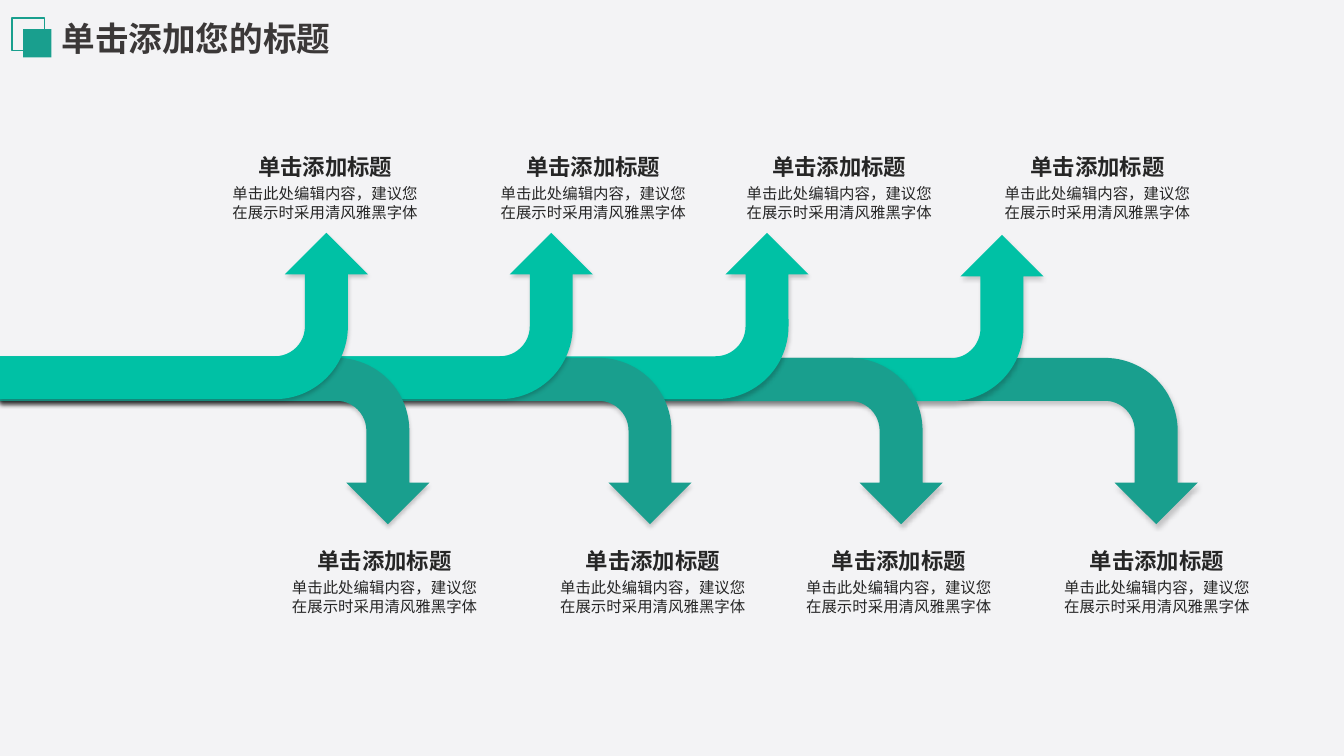
"""Build a slide of eight bent arrows branching up and down from one band."""
from dataclasses import dataclass

from lxml import etree
from pptx import Presentation
from pptx.dml.color import RGBColor
from pptx.enum import shapes, text
from pptx.oxml import ns
from pptx.util import Inches, Pt

LIGHT, DARK, INK = "00C1A5", "199F8E", "262626"
HEADING_FONT, BODY_FONT = "Noto Sans CJK SC", "Arial"
HEADING = "单击添加标题"
BODY = "单击此处编辑内容，建议您在展示时采用清风雅黑字体"
ARROW_DEPTH = 1.65


@dataclass
class Arrow:
    """A bent arrow that starts at the left slide edge."""
    reach: float
    top: float
    upward: bool


ARROWS = [
    Arrow(11.88, 3.55, False), Arrow(10.35, 2.33, True),
    Arrow(9.35, 3.55, False), Arrow(8.02, 2.31, True),
    Arrow(6.86, 3.55, False), Arrow(5.88, 2.31, True),
    Arrow(4.26, 3.55, False), Arrow(3.65, 2.31, True),
]
COLUMNS = [2.15, 4.81, 7.25, 9.81]
ROWS = [(0, 1.47), (0.59, 5.38)]


def colour(code: str) -> RGBColor:
    """Turn a hex string into a colour."""
    return RGBColor.from_string(code)


def add_shadow(shape) -> None:
    """Give a shape a soft shadow that falls straight down."""
    effects = etree.SubElement(shape._element.spPr, ns.qn("a:effectLst"))
    shadow = etree.SubElement(
        effects, ns.qn("a:outerShdw"), blurRad=str(Pt(3.1)), dist=str(Pt(1.8)),
        dir="5400000", algn="t", rotWithShape="0")
    black = etree.SubElement(shadow, ns.qn("a:srgbClr"), val="000000")
    etree.SubElement(black, ns.qn("a:alpha"), val="20000")


def add_arrow(slide, arrow: Arrow) -> None:
    """Draw an arrow as a turned and mirrored preset."""
    left = (arrow.reach - ARROW_DEPTH) / 2
    top = arrow.top - left
    shape = slide.shapes.add_shape(
        shapes.MSO_SHAPE.BENT_ARROW, Inches(left), Inches(top),
        Inches(ARROW_DEPTH), Inches(arrow.reach))
    shape.rotation = 90 if arrow.upward else 270
    frame = shape._element.spPr.find(ns.qn("a:xfrm"))
    frame.set("flipH", "1")
    if not arrow.upward:
        frame.set("flipV", "1")
    for index, value in enumerate((0.258, 0.25, 0.25, 0.438)):
        shape.adjustments[index] = value
    shape.fill.solid()
    shape.fill.fore_color.rgb = colour(LIGHT if arrow.upward else DARK)
    shape.line.fill.background()
    add_shadow(shape)


def add_square(slide, left: float, top: float, side: float, filled: bool) -> None:
    """Draw one square of the title mark."""
    square = slide.shapes.add_shape(
        shapes.MSO_SHAPE.RECTANGLE, Inches(left), Inches(top), Inches(side), Inches(side))
    square.shadow.inherit = False
    if filled:
        square.fill.solid()
        square.fill.fore_color.rgb = colour(DARK)
        square.line.fill.background()
    else:
        square.fill.background()
        square.line.color.rgb = colour(DARK)
        square.line.width = Pt(1)


def write(box, words: str, size: int, font: str, ink: str, bold: bool, align, wrap: bool) -> None:
    """Fill a box with one formatted paragraph."""
    frame = box.text_frame
    frame.text = words
    frame.word_wrap = wrap
    frame.auto_size = text.MSO_AUTO_SIZE.SHAPE_TO_FIT_TEXT
    frame.vertical_anchor = text.MSO_ANCHOR.TOP
    para = frame.paragraphs[0]
    para.alignment = align
    para.line_spacing = 1.0
    para.font.size = Pt(size)
    para.font.name = font
    para.font.bold = bold
    para.font.color.rgb = colour(ink)


def add_label(slide, left: float, top: float) -> None:
    """Add a heading with its description below."""
    centre = text.PP_ALIGN.CENTER
    heading = slide.shapes.add_textbox(
        Inches(left + 0.3), Inches(top), Inches(1.55), Inches(0.37))
    write(heading, HEADING, 16, HEADING_FONT, INK, True, centre, False)
    body = slide.shapes.add_textbox(
        Inches(left), Inches(top + 0.31), Inches(2.15), Inches(0.47))
    write(body, BODY, 11, BODY_FONT, INK, False, centre, True)


def main() -> None:
    """Build and save the deck."""
    deck = Presentation()
    deck.slide_width, deck.slide_height = Inches(13.33), Inches(7.5)
    slide = deck.slides.add_slide(deck.slide_layouts[5])
    slide.background.fill.solid()
    slide.background.fill.fore_color.rgb = colour("F3F3F5")
    title = slide.shapes.title
    title.left, title.top = Inches(0.51), Inches(0.13)
    title.width, title.height = Inches(3.25), Inches(0.5)
    write(title, "单击添加您的标题", 24, HEADING_FONT, "3B3838", True,
          text.PP_ALIGN.LEFT, True)
    add_square(slide, 0.23, 0.29, 0.28, True)
    add_square(slide, 0.12, 0.18, 0.32, False)
    for arrow in ARROWS:
        add_arrow(slide, arrow)
    for shift, top in ROWS:
        for left in COLUMNS:
            add_label(slide, left + shift, top)
    deck.save("out.pptx")


if __name__ == "__main__":
    main()
